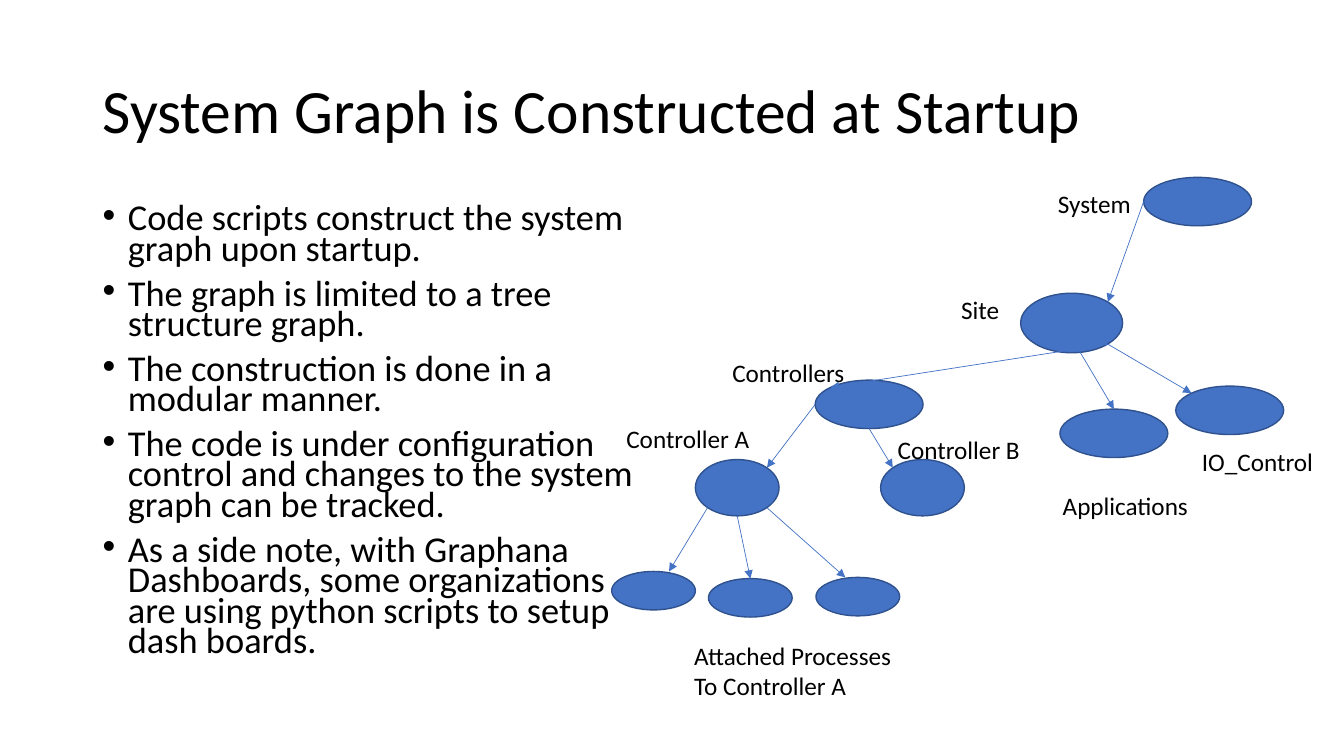
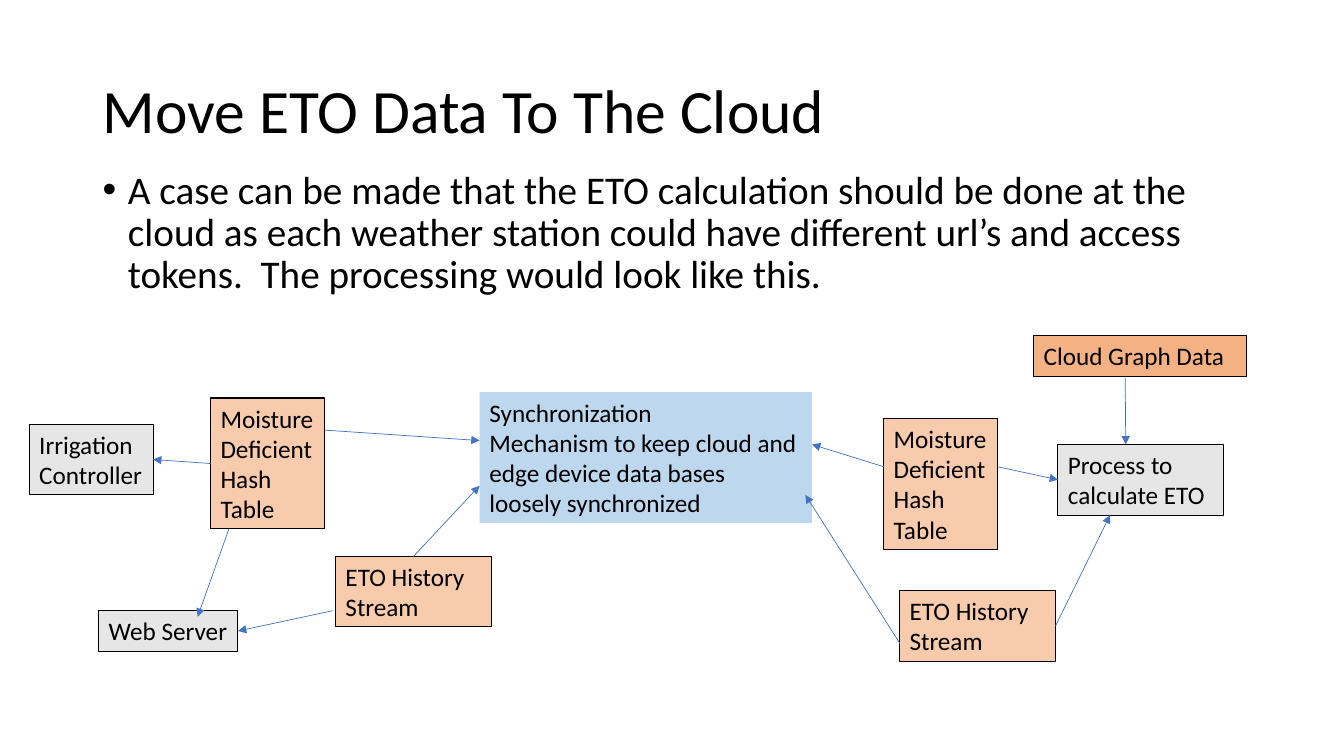
from lxml import etree
from pptx import Presentation
from pptx import util as u
from pptx.dml.color import RGBColor
from pptx.enum import shapes, text
from pptx.oxml import ns

FONT = "Calibri"
BLACK = "000000"
BLUE = "4472C4"
DARK_BLUE = "2F528F"
GREY = "E7E6E6"
ORANGE = "F4B183"
PEACH = "F8CBAD"
PALE_BLUE = "BDD7EE"

# Boxes are left, top, width, height in cm.
SLIDE_SIZE = (33.88, 19.05)
TITLE_BOX = (2.34, 1.02, 29.21, 3.68)
LINE_HEIGHT = 1.02
LABEL_SIZE = 18

# Directions from the centre of a node; 1 is its edge.
TOP, LEFT, BOTTOM, RIGHT = (0, -1), (-1, 0), (0, 1), (1, 0)
SIDES = (TOP, LEFT, BOTTOM, RIGHT)
D = 0.71
TOP_LEFT, TOP_RIGHT = (-D, -D), (D, -D)
BOTTOM_LEFT, BOTTOM_RIGHT = (-D, D), (D, D)


def colour(hex_text):
    return RGBColor.from_string(hex_text)


def place(region, box):
    """Lengths of a box that is given relative to the corner of its region."""
    left, top, width, height = box
    return [u.Cm(v) for v in (region[0] + left, region[1] + top, width, height)]


def sub(parent, tag, **attributes):
    return etree.SubElement(parent, ns.qn(tag), **attributes)


def write(frame, lines, size, spacing=None, wrap=True, bullets=False):
    frame.word_wrap = wrap
    for index, line in enumerate(lines):
        paragraph = frame.paragraphs[0] if index == 0 else frame.add_paragraph()
        paragraph.alignment = text.PP_ALIGN.LEFT
        if spacing:
            paragraph.line_spacing = spacing
        if bullets:
            if index:
                paragraph.space_before = u.Pt(10)
            add_bullet(paragraph)
        run = paragraph.add_run()
        run.text = line
        run.font.name = FONT
        run.font.size = u.Pt(size)
        run.font.color.rgb = colour(BLACK)


def add_bullet(paragraph):
    properties = paragraph._p.get_or_add_pPr()
    indent = u.Cm(0.635)
    properties.set("marL", str(indent))
    properties.set("indent", str(-indent))
    sub(sub(properties, "a:buClr"), "a:srgbClr", val=BLACK)
    sub(properties, "a:buFont", typeface="Arial")
    sub(properties, "a:buChar", char="•")


def add_title(slide, title):
    frame = slide.shapes.add_textbox(*place((0, 0), TITLE_BOX)).text_frame
    frame.vertical_anchor = text.MSO_ANCHOR.MIDDLE
    write(frame, [title], 44, spacing=0.9)


def add_bullets(slide, box, lines, size, spacing):
    frame = slide.shapes.add_textbox(*place((0, 0), box)).text_frame
    write(frame, lines, size, spacing, bullets=True)


def add_node(slide, region, preset, box, fill, line=None, width=1):
    node = slide.shapes.add_shape(preset, *place(region, box))
    node.shadow.inherit = False
    node.fill.solid()
    node.fill.fore_color.rgb = colour(fill)
    if line:
        node.line.color.rgb = colour(line)
        node.line.width = u.Pt(width)
    else:
        node.line.fill.background()
    return node


def add_label(slide, region, left, top, width, *lines):
    box = (left, top, width, LINE_HEIGHT + 0.76 * (len(lines) - 1))
    frame = slide.shapes.add_textbox(*place(region, box)).text_frame
    write(frame, lines, LABEL_SIZE, wrap=False)
    frame.auto_size = text.MSO_AUTO_SIZE.SHAPE_TO_FIT_TEXT


def anchor(node, direction):
    """Point that lies in a direction from the centre of a node."""
    dx, dy = direction
    return (round(node.left + node.width * (1 + dx) / 2),
            round(node.top + node.height * (1 + dy) / 2))


def add_arrow(slide, start, leave, end, arrive):
    arrow = slide.shapes.add_connector(
        shapes.MSO_CONNECTOR.STRAIGHT, *anchor(start, leave), *anchor(end, arrive))
    for node, side, connect in ((start, leave, arrow.begin_connect),
                                (end, arrive, arrow.end_connect)):
        if node.auto_shape_type == shapes.MSO_SHAPE.RECTANGLE and side in SIDES:
            connect(node, SIDES.index(side))
    arrow.line.color.rgb = colour(BLUE)
    arrow.line.width = u.Pt(0.5)
    sub(arrow.line._get_or_add_ln(), "a:tailEnd", type="triangle")
    sub(arrow._element.spPr, "a:effectLst")


def draw_system_tree(slide, region):
    large, site_size = (2.72, 1.22), (2.57, 1.5)
    controller, process = (2.11, 1.42), (2.11, 0.97)
    places = {
        "system": (13.43, 0.07, *large),
        "site": (10.33, 2.99, *site_size),
        "controllers": (5.15, 5.18, *large),
        "applications": (11.32, 5.91, *large),
        "io": (14.24, 5.33, *large),
        "a": (2.13, 7.18, *controller),
        "b": (6.8, 7.18, *controller),
        "process 1": (0.02, 10, *process),
        "process 2": (2.46, 10.18, *process),
        "process 3": (5.17, 10.15, *process),
    }
    nodes = {key: add_node(slide, region, shapes.MSO_SHAPE.OVAL, box, BLUE, DARK_BLUE)
             for key, box in places.items()}
    for start, leave, end, arrive in (
            ("system", LEFT, "site", TOP_RIGHT),
            ("site", BOTTOM_RIGHT, "controllers", TOP_LEFT),
            ("site", (0.09, 0.76), "applications", TOP),
            ("site", BOTTOM_RIGHT, "io", TOP_LEFT),
            ("controllers", LEFT, "a", TOP_RIGHT),
            ("controllers", BOTTOM, "b", TOP_LEFT),
            ("a", BOTTOM_LEFT, "process 1", (0.37, -1)),
            ("a", BOTTOM, "process 2", TOP),
            ("a", BOTTOM_RIGHT, "process 3", (-0.3, -1))):
        add_arrow(slide, nodes[start], leave, nodes[end], arrive)
    for label in (
            (11.02, 0.22, 2.36, "System"),
            (8.58, 2.89, 1.47, "Site"),
            (2.81, 4.49, 3.35, "Controllers"),
            (11.14, 7.82, 3.68, "Applications"),
            (14.65, 6.73, 3.33, "IO_Control"),
            (0.14, 6.14, 3.61, "Controller A"),
            (6.98, 6.42, 3.61, "Controller B"),
            (1.85, 11.6, 5.51, "Attached Processes", "To Controller A")):
        add_label(slide, region, *label)


def draw_cloud_flow(slide, region):
    table_size, history_size = (2.87, 3.3), (3.93, 1.78)
    moisture = ("Moisture", "Deficient", "Hash", "Table")
    history = ("ETO History Stream",)
    sync = ("Synchronization",
            "Mechanism to keep cloud and edge device data bases loosely synchronized")
    # Each entry: box, fill, border, wrap, lines
    parts = {
        "irrigation": ((0.04, 2.29, 3.12, 1.78), GREY, BLACK, True,
                       ("Irrigation Controller",)),
        "web": ((1.79, 6.99, 3.51, LINE_HEIGHT), GREY, BLACK, False, ("Web Server",)),
        "edge table": ((4.61, 1.63, *table_size), PEACH, BLACK, False, moisture),
        "edge history": ((7.76, 5.62, *history_size), PEACH, BLACK, True, history),
        "sync": ((11.39, 1.48, 8.38, 3.3), PALE_BLUE, None, True, sync),
        "cloud table": ((21.58, 2.14, *table_size), PEACH, BLACK, False, moisture),
        "cloud history": ((21.98, 6.48, *history_size), PEACH, BLACK, True, history),
        "graph": ((25.36, 0.06, 5.36, LINE_HEIGHT), ORANGE, BLACK, True,
                  ("Cloud Graph Data",)),
        "process": ((25.97, 2.8, 4.17, 1.78), GREY, BLACK, True,
                    ("Process to calculate ETO",)),
    }
    nodes = {}
    for key, (box, fill, border, wrap, lines) in parts.items():
        nodes[key] = add_node(slide, region, shapes.MSO_SHAPE.RECTANGLE, box,
                              fill, border, 0.75)
        frame = nodes[key].text_frame
        frame.vertical_anchor = text.MSO_ANCHOR.TOP
        write(frame, lines, LABEL_SIZE, wrap=wrap)
        frame.auto_size = text.MSO_AUTO_SIZE.SHAPE_TO_FIT_TEXT
    for start, leave, end, arrive in (
            ("edge table", LEFT, "irrigation", RIGHT),
            ("edge table", (-0.68, 1), "web", (0.42, -0.7)),
            ("edge table", (1, -0.51), "sync", (-1, -0.26)),
            ("edge history", (-1.04, 0.54), "web", RIGHT),
            ("edge history", TOP, "sync", (-1, 0.43)),
            ("cloud table", (-1, -0.26), "sync", (1, -0.2)),
            ("cloud table", (1, -0.26), "process", LEFT),
            ("cloud history", (-1, 0.49), "sync", (0.96, 0.57)),
            ("cloud history", RIGHT, "process", (-0.37, 1)),
            ("graph", (-0.14, 1.1), "process", (-0.18, -1))):
        add_arrow(slide, nodes[start], leave, nodes[end], arrive)


def build_system_graph(slide):
    add_title(slide, "System Graph is Constructed at Startup")
    add_bullets(slide, (2.34, 5.08, 14.4, 12.09), [
        "Code scripts construct the system graph upon startup.",
        "The graph is limited to a tree structure graph.",
        "The construction is done in a modular manner.",
        "The code is under configuration control and changes to the system "
        "graph can be tracked.",
        "As a side note, with Graphana Dashboards, some organizations are using "
        "python scripts to setup dash boards.",
    ], 26, 0.7)
    draw_system_tree(slide, (15.4, 4.4))


def build_cloud_move(slide):
    add_title(slide, "Move ETO Data To The Cloud")
    add_bullets(slide, (2.34, 4.17, 29.21, 3.68), [
        "A case can be made that the ETO calculation should be done at the cloud "
        "as each weather station could have different url’s and access tokens.  "
        "The processing would look like this.",
    ], 28, 0.9)
    draw_cloud_flow(slide, (0.7, 8.4))


def main():
    deck = Presentation()
    deck.slide_width, deck.slide_height = (u.Cm(v) for v in SLIDE_SIZE)
    blank = deck.slide_layouts[6]
    for build in (build_system_graph, build_cloud_move):
        build(deck.slides.add_slide(blank))
    deck.save("out.pptx")


if __name__ == "__main__":
    main()
